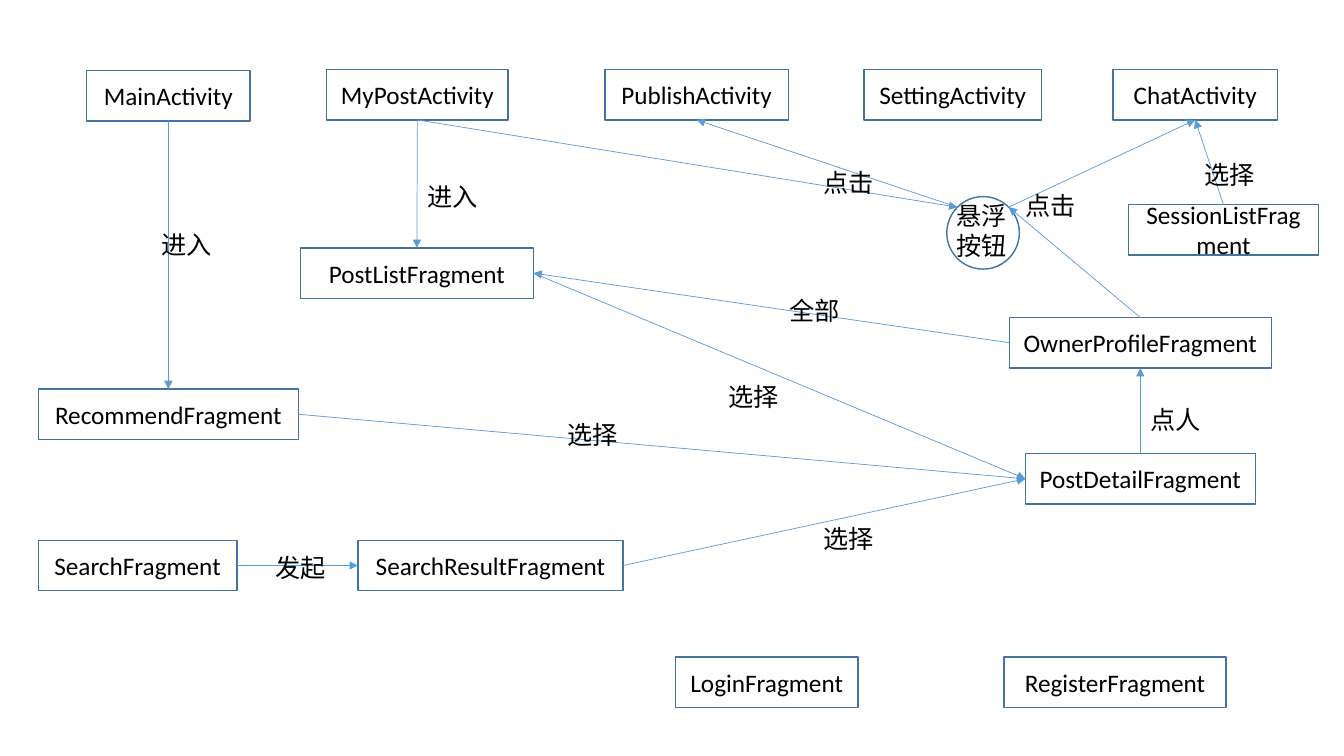
from math import sqrt

from lxml.etree import SubElement
from pptx import Presentation
from pptx.dml.color import RGBColor
from pptx.enum.shapes import MSO_CONNECTOR, MSO_SHAPE
from pptx.enum.text import MSO_ANCHOR, PP_ALIGN
from pptx.oxml.ns import qn
from pptx.util import Inches, Pt

COLORS = {"border": "43739E", "arrow": "5B9BD5", "text": "000000", "back": "FFFFFF"}
FONT = "Calibri"
BOX_H = 0.5
LABEL_H = 0.4
TOP, LEFT, BOTTOM, RIGHT = range(4)

SCREENS = {
    "MainActivity": (0.86, 0.7, 1.62),
    "SettingActivity": (8.57, 0.69, 1.76),
    "PublishActivity": (6, 0.69, 1.82),
    "ChatActivity": (11.04, 0.69, 1.63),
    "MyPostActivity": (3.24, 0.69, 1.8),
    "LoginFragment": (6.7, 6.52, 1.81),
    "RegisterFragment": (9.96, 6.52, 2.2),
    "RecommendFragment": (0.38, 3.86, 2.58),
    "PostListFragment": (2.98, 2.46, 2.31),
    "PostDetailFragment": (10.17, 4.5, 2.28),
    "SearchFragment": (0.38, 5.36, 1.97),
    "SearchResultFragment": (3.55, 5.36, 2.63),
    "OwnerProfileFragment": (10.01, 3.15, 2.6),
    "SessionListFragment": (11.19, 2.03, 1.89),
}

ARROWS = [
    ("SearchFragment", RIGHT, "SearchResultFragment", LEFT),
    ("MainActivity", BOTTOM, "RecommendFragment", TOP),
    ("MyPostActivity", BOTTOM, "PostListFragment", TOP),
    ("悬浮按钮", RIGHT, "ChatActivity", BOTTOM),
    ("悬浮按钮", LEFT, "PublishActivity", BOTTOM),
    ("PostListFragment", RIGHT, "PostDetailFragment", LEFT),
    ("RecommendFragment", RIGHT, "PostDetailFragment", LEFT),
    ("SearchResultFragment", RIGHT, "PostDetailFragment", LEFT),
    ("OwnerProfileFragment", TOP, "悬浮按钮", RIGHT),
    ("PostDetailFragment", TOP, "OwnerProfileFragment", BOTTOM),
    ("OwnerProfileFragment", LEFT, "PostListFragment", RIGHT),
    ("MyPostActivity", BOTTOM, "悬浮按钮", LEFT),
    ("SessionListFragment", TOP, "ChatActivity", BOTTOM),
]

LABELS = [
    ("进入", 1.5, 2.23, 0.78),
    ("进入", 4.14, 1.75, 0.73),
    ("选择", 5.53, 4.11, 0.83),
    ("发起", 2.63, 5.43, 0.71),
    ("选择", 8.07, 5.14, 1),
    ("选择", 7.13, 3.73, 0.94),
    ("点击", 8.07, 1.61, 0.77),
    ("点人", 11.31, 3.96, 0.76),
    ("全部", 7.73, 2.88, 0.78),
    ("点击", 10.07, 1.84, 0.8),
    ("选择", 11.85, 1.53, 0.86),
]


def rgb(name):
    """Return the named colour."""
    return RGBColor.from_string(COLORS[name])


def write(tf, text, size=18, color="text", align=PP_ALIGN.LEFT, anchor=MSO_ANCHOR.TOP):
    """Write one formatted paragraph into a text frame."""
    tf.word_wrap = True
    tf.vertical_anchor = anchor
    p = tf.paragraphs[0]
    p.alignment = align
    r = p.add_run()
    r.text = text
    r.font.name = FONT
    r.font.size = Pt(size)
    r.font.color.rgb = rgb(color)


def add_outline(s, kind, x, y, w, h):
    """Add an unfilled shape with a thin border."""
    sp = s.shapes.add_shape(kind, Inches(x), Inches(y), Inches(w), Inches(h))
    sp.shadow.inherit = False
    sp.fill.background()
    sp.line.color.rgb = rgb("border")
    sp.line.width = Pt(1)
    return sp


def add_label(s, text, x, y, w, h=LABEL_H):
    """Add a plain text box."""
    tb = s.shapes.add_textbox(Inches(x), Inches(y), Inches(w), Inches(h))
    write(tb.text_frame, text)


def add_screen(s, name, x, y, w):
    """Add a box naming one screen of the app."""
    sp = add_outline(s, MSO_SHAPE.RECTANGLE, x, y, w, BOX_H)
    write(sp.text_frame, name, align=PP_ALIGN.CENTER, anchor=MSO_ANCHOR.MIDDLE)
    return sp


def add_floating_button(s, x, y, size):
    """Add the round floating button and its caption."""
    sp = add_outline(s, MSO_SHAPE.OVAL, x, y, size, size)
    add_label(s, "悬浮按钮", x, y - 0.01, size + 0.11, 0.71)
    return sp


def site(sp, side):
    """Return the point on a shape where an arrow meets it."""
    dx, dy = {TOP: (0, -1), LEFT: (-1, 0), BOTTOM: (0, 1), RIGHT: (1, 0)}[side]
    if sp.auto_shape_type == MSO_SHAPE.OVAL:
        dx, dy = dx / sqrt(2), -1 / sqrt(2)
    return (int(sp.left + sp.width * (1 + dx) / 2),
            int(sp.top + sp.height * (1 + dy) / 2))


def add_arrow(s, start, start_side, end, end_side):
    """Join two shapes with a straight arrow."""
    c = s.shapes.add_connector(
        MSO_CONNECTOR.STRAIGHT, *site(start, start_side), *site(end, end_side))
    if start.auto_shape_type == MSO_SHAPE.RECTANGLE:
        c.begin_connect(start, start_side)
    if end.auto_shape_type == MSO_SHAPE.RECTANGLE:
        c.end_connect(end, end_side)
    c.line.color.rgb = rgb("arrow")
    c.line.width = Pt(0.5)
    SubElement(c.line._get_or_add_ln(), qn("a:tailEnd"), type="triangle")
    SubElement(c._element.spPr, qn("a:effectLst"))


def add_flow(s, left, top):
    """Draw the navigation flow from the given corner."""
    nodes = {name: add_screen(s, name, left + x, top + y, w)
             for name, (x, y, w) in SCREENS.items()}
    nodes["悬浮按钮"] = add_floating_button(s, left + 9.39, top + 1.95, 0.72)
    for start, start_side, end, end_side in ARROWS:
        add_arrow(s, nodes[start], start_side, nodes[end], end_side)
    for text, x, y, w in LABELS:
        add_label(s, text, left + x, top + y, w)


def main():
    """Build and save the slide."""
    prs = Presentation()
    prs.slide_width, prs.slide_height = Inches(13.33), Inches(7.5)
    s = prs.slides.add_slide(prs.slide_layouts[6])
    s.background.fill.solid()
    s.background.fill.fore_color.rgb = rgb("back")
    add_flow(s, 0, 0)
    prs.save("out.pptx")


if __name__ == "__main__":
    main()
